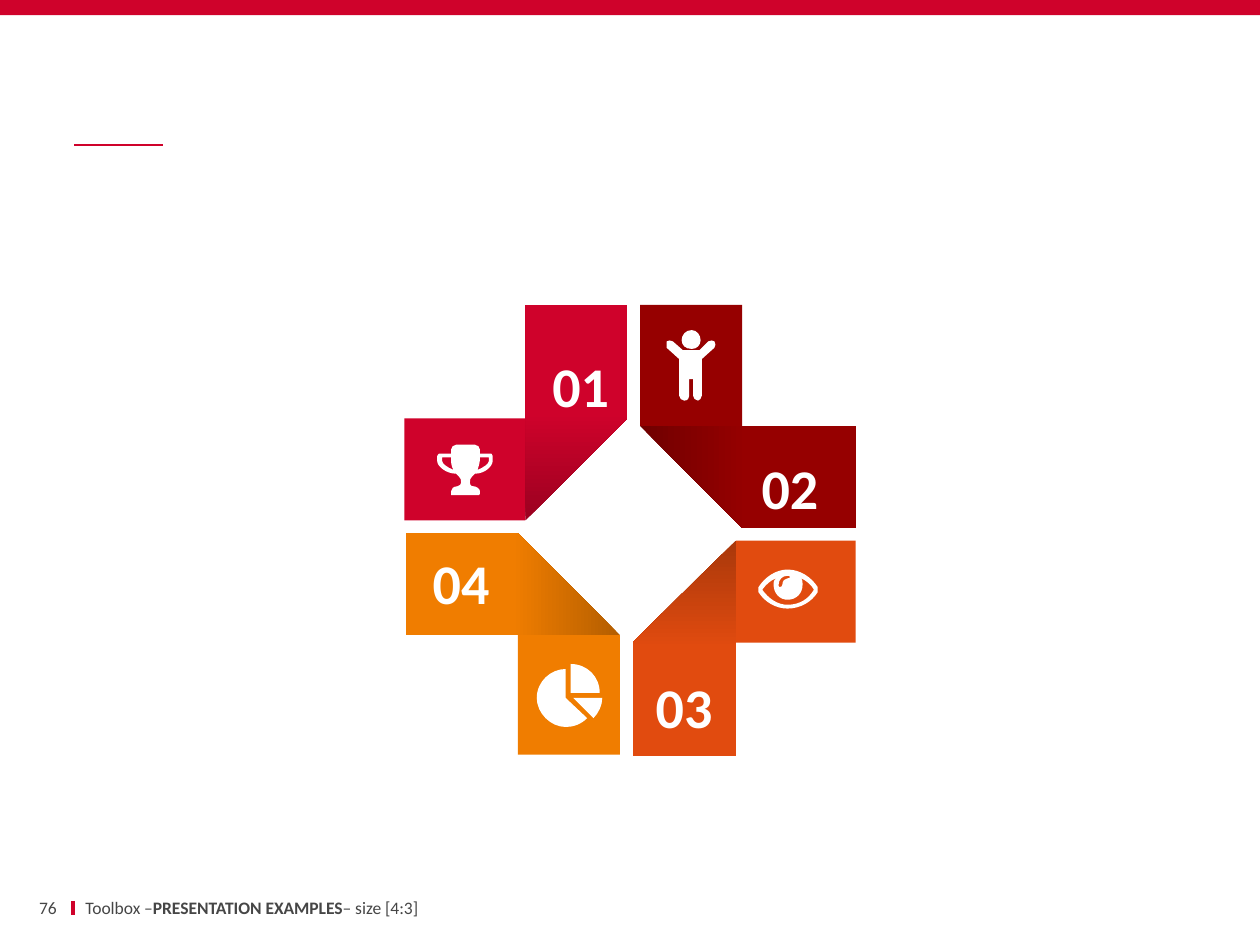
from pptx import Presentation
from pptx import util as u
from pptx.dml.color import RGBColor
from pptx.enum import shapes, text
from pptx.oxml.ns import qn
from lxml import etree

RED = "CF022B"
WHITE = "FFFFFF"
GREY = "464646"
FONT = "Calibri"

TABS = [
    ((5.08, 2.42, 0.81, 0.96), "960000"),
    ((3.21, 3.32, 0.96, 0.81), RED),
    ((5.84, 4.29, 0.95, 0.81), "E14B0F"),
    ((4.11, 5.04, 0.81, 0.95), "F07D00"),
]
FOLDS = [
    ("M 679 338 L 508 338 L 589 419 L 679 419 Z", "700000", "960000", 0),
    ("M 417 242 L 417 413 L 498 332 L 498 242 Z", "9B0120", RED, 270),
    ("M 584 600 L 584 429 L 502 510 L 502 600 Z", "A9380B", "E14B0F", 90),
    ("M 322 504 L 492 504 L 411 423 L 322 423 Z", "B45E00", "F07D00", 180),
]
NUMBERS = [("01", 4.36, 2.78), ("02", 6.02, 3.59), ("04", 3.41, 4.35), ("03", 5.18, 5.33)]

TROPHY = """
M 391 366 C 391 370 385 376 377 376 C 376 377 375 378 375 378 C 373 380 373 381 373 383
C 373 384 373 386 376 386 C 378 386 381 388 381 390 L 381 392 L 380 393 L 358 393
L 358 390 C 358 388 360 386 363 386 C 365 386 366 384 366 383 C 366 381 366 380 364 378
C 364 378 363 377 362 376 C 354 376 347 370 347 366 L 347 362 C 347 360 349 360 350 360
L 358 360 L 358 357 C 358 355 360 353 362 353 L 377 353 C 379 353 381 355 381 357
L 381 360 L 388 360 C 390 360 391 360 391 362 Z
M 358 363 L 351 363 L 351 366 C 351 368 355 371 360 373 C 358 370 358 367 358 363 Z
M 388 363 L 381 363 C 381 367 380 370 379 373 C 384 371 388 368 388 366 Z
"""
PERSON = """
M 557 285 L 557 314 C 557 316 555 318 554 318 C 552 318 550 316 550 314 L 550 301
L 547 301 L 547 314 C 547 316 546 318 543 318 C 541 318 539 316 539 314 L 539 285
L 529 276 C 529 275 529 272 529 271 C 530 270 533 270 534 271 L 542 278 L 555 278
L 562 271 C 564 270 566 270 567 271 C 568 272 568 275 567 276 Z
M 549 277 C 544 277 541 274 541 270 C 541 266 544 262 549 262
C 553 262 556 266 556 270 C 556 274 553 277 549 277 Z
"""
EYE = """
M 649 470 C 644 478 635 483 625 483 C 616 483 607 478 602 470 C 602 469 602 468 602 468
C 602 467 602 466 602 466 C 607 458 616 452 625 452 C 635 452 644 458 649 466
C 649 466 649 467 649 468 C 649 468 649 469 649 470 Z
M 636 459 C 637 460 637 462 637 464 C 637 471 632 476 625 476 C 619 476 614 471 614 464
C 614 462 614 460 616 459 C 611 461 608 464 605 468 C 610 475 617 480 625 480
C 635 480 642 475 646 468 C 644 464 640 461 636 459 Z
M 625 457 C 621 457 618 460 618 464 C 618 465 618 466 619 466 C 620 466 621 465 621 464
C 621 461 623 459 625 459 C 626 459 627 459 627 458 C 627 457 626 457 625 457 Z
"""
PIE = """
M 466 570 C 461 575 455 577 449 577 C 437 577 426 566 426 554
C 426 541 437 531 449 531 L 449 554 Z
M 453 550 L 453 527 C 466 527 476 537 476 550 Z
M 478 554 C 478 560 475 566 471 570 L 455 554 Z
"""


def color(value):
    return RGBColor.from_string(value)


def read_contours(path):
    tokens = iter(path.split())
    contours, commands = [], []
    for command in tokens:
        if command == "M":
            contours.append([])
        commands.append(command)
        for _ in range({"M": 1, "L": 1, "C": 3, "Z": 0}[command]):
            contours[-1].append(tuple(u.Inches(int(next(tokens)) / 100) for _ in range(2)))
    return contours, commands


def bend_curves(sp, commands):
    steps = iter(list(sp._element.find(".//" + qn("a:path"))))
    for command in commands:
        step = next(steps)
        if command == "C":
            step.addprevious(curve := etree.Element(qn("a:cubicBezTo")))
            for handle in (step, next(steps), next(steps)):
                curve.append(handle[0])
                handle.getparent().remove(handle)


def add_outline(s, path):
    (first, *others), commands = read_contours(path)
    builder = s.shapes.build_freeform(*first[0])
    builder.add_line_segments(first[1:], close=True)
    for contour in others:
        builder.move_to(*contour[0])
        builder.add_line_segments(contour[1:], close=True)
    sp = builder.convert_to_shape()
    bend_curves(sp, commands)
    sp.shadow.inherit = False
    sp.line.fill.background()
    return sp


def add_icon(s, path):
    fill = add_outline(s, path).fill
    fill.solid()
    fill.fore_color.rgb = color(WHITE)


def add_fold(s, path, dark, base, angle):
    fill = add_outline(s, path).fill
    fill.gradient()
    fill.gradient_angle = (360 - angle) % 360
    for stop, position, value in zip(fill.gradient_stops, (0, 0.5), (dark, base)):
        stop.position = position
        stop.color.rgb = color(value)


def add_rect(s, box, value):
    sp = s.shapes.add_shape(shapes.MSO_SHAPE.RECTANGLE, *map(u.Inches, box))
    sp.shadow.inherit = False
    sp.fill.solid()
    sp.fill.fore_color.rgb = color(value)
    sp.line.fill.background()


def add_line(s, ends, width):
    line = s.shapes.add_connector(shapes.MSO_CONNECTOR.STRAIGHT, *map(u.Inches, ends))
    line.line.color.rgb = color(RED)
    line.line.width = u.Pt(width)
    etree.SubElement(line._element.spPr, qn("a:effectLst"))


def add_text(s, box, runs, size, value, align, anchor, margins):
    tf = s.shapes.add_textbox(*map(u.Inches, box)).text_frame
    tf.word_wrap = True
    tf.vertical_anchor = anchor
    tf.margin_left, tf.margin_right = u.Inches(margins[0]), u.Inches(margins[1])
    tf.margin_top = tf.margin_bottom = u.Inches(margins[2])
    p = tf.paragraphs[0]
    p.alignment = align
    p.font.name = FONT
    p.font.size = u.Pt(size)
    p.font.color.rgb = color(value)
    for content, bold in runs:
        r = p.add_run()
        r.text = content
        r.font.bold = bold
    return tf


def main():
    prs = Presentation()
    prs.slide_width, prs.slide_height = u.Inches(10), u.Inches(7.5)
    s = prs.slides.add_slide(prs.slide_layouts[6])
    align, anchor = text.PP_ALIGN, text.MSO_ANCHOR

    add_line(s, (0.58, 7.15, 0.58, 7.26), 2.25)
    add_line(s, (0.59, 1.15, 1.29, 1.15), 1)
    add_rect(s, (0, 0, 10, 0.12), RED)
    for (box, value), fold in zip(TABS, FOLDS):
        add_rect(s, box, value)
        add_fold(s, *fold)
    for number, left, top in NUMBERS:
        tf = add_text(s, (left, top, 0.5, 0.54), [(number, True)], 32, WHITE,
                      align.CENTER, anchor.BOTTOM, (0, 0, 0))
        tf.word_wrap = False
        tf.auto_size = text.MSO_AUTO_SIZE.SHAPE_TO_FIT_TEXT
    for path in (TROPHY, PERSON, EYE, PIE):
        add_icon(s, path)

    add_text(s, (0.13, 7.11, 0.32, 0.18), [("76", None)], 10, GREY,
             align.RIGHT, anchor.MIDDLE, (0, 0, 0.05))
    footer = [("Toolbox –", None), ("PRESENTATION EXAMPLES", True), ("– size [4:3]", None)]
    add_text(s, (0.58, 7.11, 4.97, 0.18), footer, 10, GREY,
             align.LEFT, anchor.MIDDLE, (0.1, 0.1, 0.05))
    prs.save("out.pptx")


if __name__ == "__main__":
    main()
